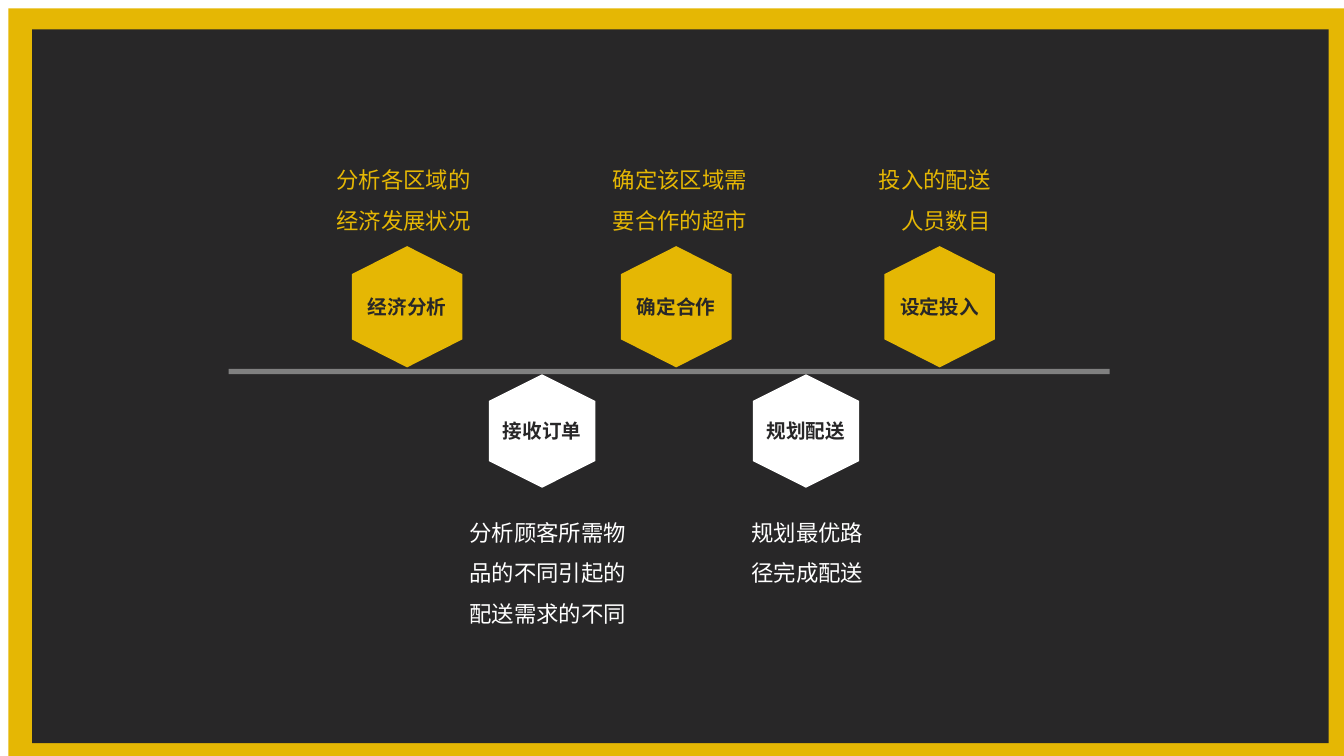
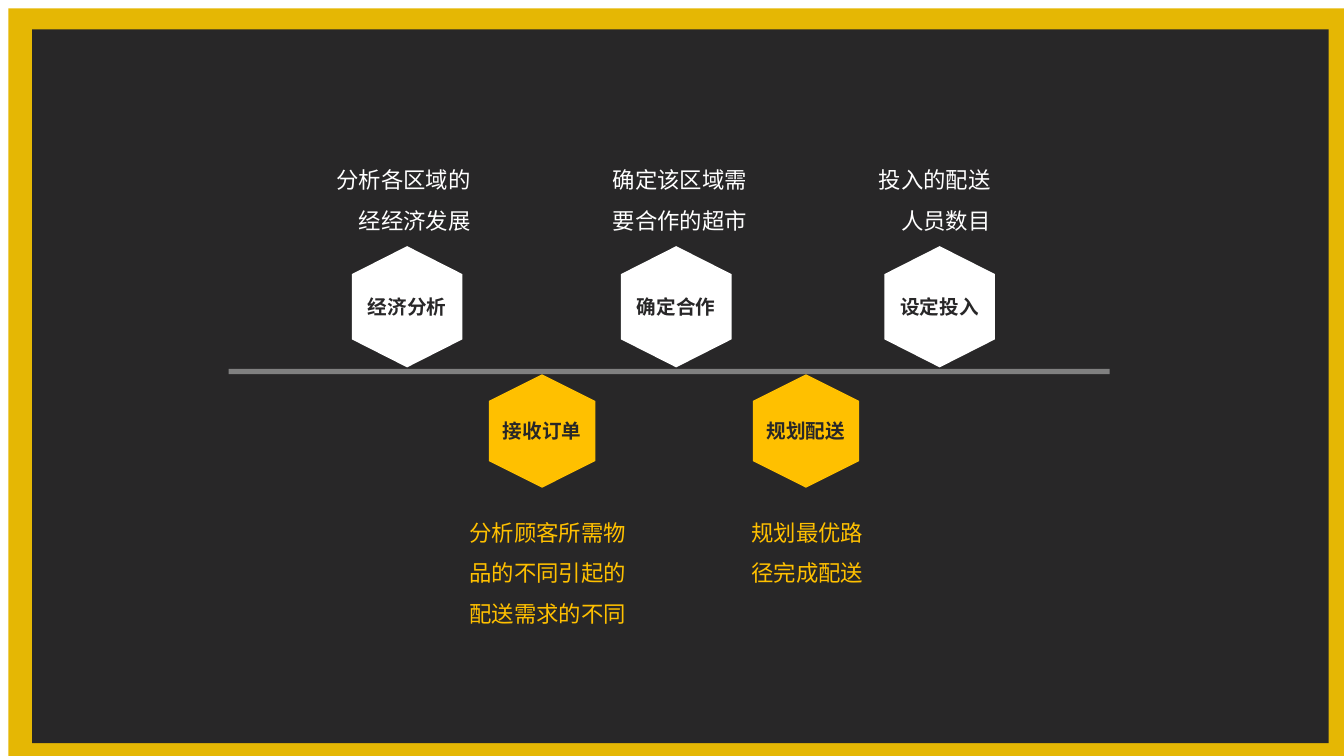
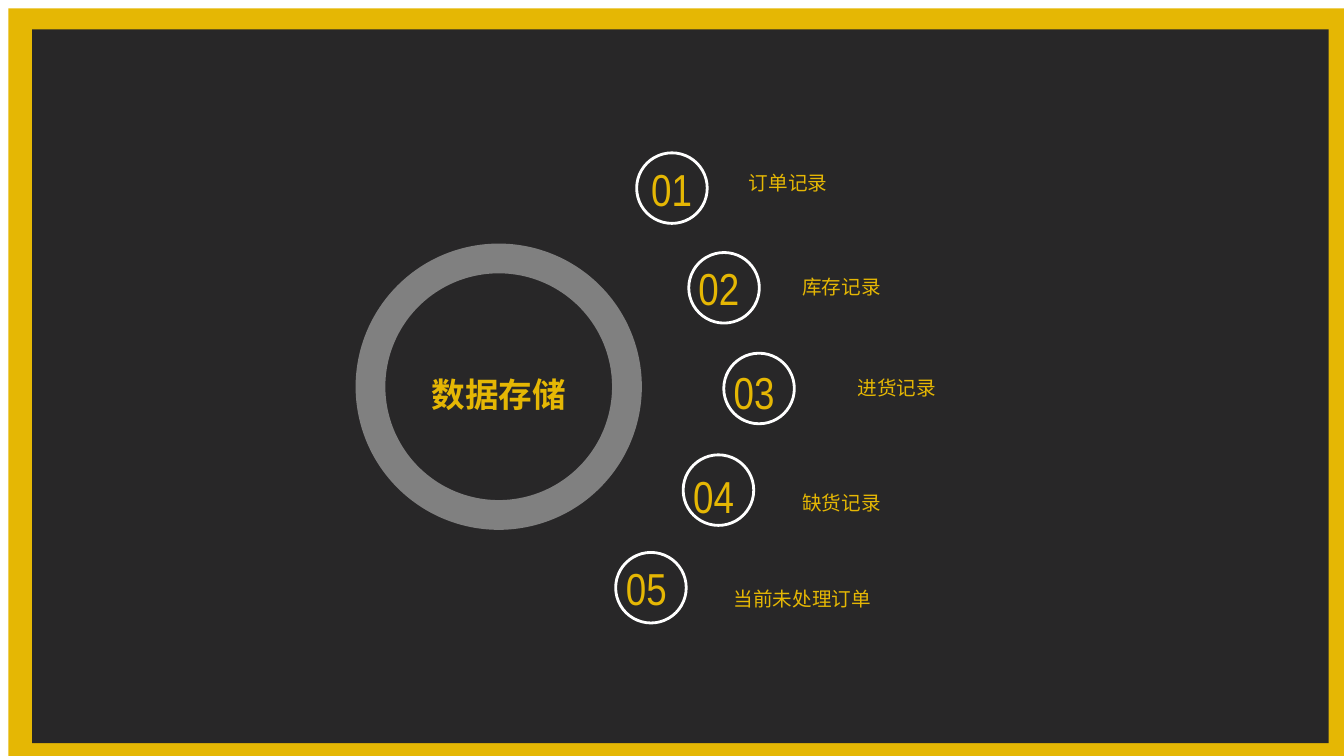
"""Build three delivery-system slides: two process timelines and a data storage overview."""
from dataclasses import dataclass
from typing import Any, Optional

from lxml import etree
from pptx import Presentation
from pptx import util as u
from pptx.dml.color import RGBColor
from pptx.enum import shapes, text
from pptx.oxml.ns import qn
from pptx.presentation import Presentation as Deck
from pptx.shapes.autoshape import Shape
from pptx.slide import Slide

GOLD = RGBColor(0xE5, 0xB7, 0x04)
AMBER = RGBColor(0xFF, 0xC0, 0x00)
CHARCOAL = RGBColor(0x28, 0x27, 0x28)
GREY = RGBColor(0x80, 0x80, 0x80)
WHITE = RGBColor(0xFF, 0xFF, 0xFF)

CHINESE = "Noto Sans CJK SC"
STEP_FONT = {"name": CHINESE, "size": u.Pt(14), "bold": True}
CAPTION_FONT = {"name": CHINESE, "size": u.Pt(16), "bold": False}
LABEL_FONT = {"name": CHINESE, "size": u.Pt(14), "bold": False}
TITLE_FONT = {"name": CHINESE, "size": u.Pt(24), "bold": True}
NUMBER_FONT = {"name": "Arial Narrow", "size": u.Pt(32), "bold": False}

GROW = {"word_wrap": True, "auto_size": text.MSO_AUTO_SIZE.SHAPE_TO_FIT_TEXT,
        "vertical_anchor": text.MSO_ANCHOR.TOP}
ONE_LINE = GROW | {"word_wrap": False}
MIDDLE = {"word_wrap": True, "vertical_anchor": text.MSO_ANCHOR.MIDDLE}
TIGHT = MIDDLE | {f"margin_{side}": 0 for side in ("left", "right", "top", "bottom")}

LEFT = {"alignment": text.PP_ALIGN.LEFT}
CENTRE = {"alignment": text.PP_ALIGN.CENTER}
OPEN_LEFT = LEFT | {"line_spacing": 1.5}
OPEN_CENTRE = CENTRE | {"line_spacing": 1.5}
OPEN_RIGHT = {"alignment": text.PP_ALIGN.RIGHT, "line_spacing": 1.5}


@dataclass(frozen=True)
class Box:
    """A rectangle in points."""
    left: float
    top: float
    width: float
    height: float

    def lengths(self) -> list[u.Length]:
        """Return the four lengths in the order that python-pptx takes."""
        return [u.Pt(value) for value in (self.left, self.top, self.width, self.height)]


@dataclass(frozen=True)
class Row:
    """The measures shared by the hexagons and captions on one side of the bar."""
    hexagon_top: float
    width: float
    height: float
    shoulder: float
    caption_top: float
    caption_height: float


@dataclass(frozen=True)
class Step:
    """One hexagon with its caption."""
    name: str
    centre: float
    caption: str
    caption_left: float
    caption_width: float


@dataclass(frozen=True)
class Record:
    """One numbered circle with its label, each given by left and top."""
    label: str
    circle: tuple[float, float]
    number: tuple[float, float]
    label_at: tuple[float, float]


FRAME = ((Box(6, 6, 954, 534), GOLD), (Box(23, 21, 926, 509.8), CHARCOAL))
BAR = Box(163.3, 263.5, 629.4, 3.7)
RING = Box(254, 174, 204.5, 204.5)
RING_TITLE = Box(295.2, 249.1, 122.4, 46)
CIRCLE_SIZE = 50.4

UPPER = Row(175.8, 79, 86.6, 20, 105.8, 62)
LOWER = Row(267.4, 76, 81, 19, 357.8, 91)
UPPER_STEPS = (
    Step("经济分析", 290.8, "分析各区域的经济发展状况", 228.2, 115),
    Step("确定合作", 483, "确定该区域需要合作的超市", 425.5, 115),
    Step("设定投入", 671.2, "投入的配送人员数目", 612.7, 102),
)
LOWER_STEPS = (
    Step("接收订单", 387.2, "分析顾客所需物品的不同引起的配送需求的不同", 319.7, 134.6),
    Step("规划配送", 575.7, "规划最优路径完成配送", 527.8, 95.8),
)
SHORT_CAPTIONS = {"经济分析": "分析各区域的经经济发展"}
RECORDS = (
    Record("订单记录", (454.8, 109.2), (458, 111.6), (527.8, 99.4)),
    Record("库存记录", (492, 180.4), (491.8, 182.4), (566, 173.5)),
    Record("进货记录", (517, 252.3), (517, 257), (605.5, 245.5)),
    Record("缺货记录", (488, 324.9), (488, 331.2), (566, 327.6)),
    Record("当前未处理订单", (439.8, 394.6), (440, 396.7), (517, 396.7)),
)


def apply(target: Any, values: dict[str, Any]) -> None:
    """Set each named attribute on the target."""
    for name, value in values.items():
        setattr(target, name, value)


def write(shape: Shape, words: str, font: dict[str, Any], colour: RGBColor,
          frame: dict[str, Any], layout: dict[str, Any]) -> None:
    """Put one formatted paragraph into a shape."""
    apply(shape.text_frame, frame)
    para = shape.text_frame.paragraphs[0]
    apply(para, layout)
    span = para.add_run()
    span.text = words
    apply(span.font, font)
    span.font.color.rgb = colour
    for props in shape.element.iter(qn("a:rPr")):
        etree.SubElement(props, qn("a:ea")).set("typeface", font["name"])


def paint(shape: Shape, fill: Optional[RGBColor], line: Optional[RGBColor] = None) -> Shape:
    """Give a shape a flat fill and an optional outline."""
    shape.shadow.inherit = False
    if fill is None:
        shape.fill.background()
    else:
        shape.fill.solid()
        shape.fill.fore_color.rgb = fill
    if line is None:
        shape.line.fill.background()
    else:
        shape.line.color.rgb = line
        shape.line.width = u.Pt(2)
    return shape


def add_preset(page: Slide, kind: shapes.MSO_SHAPE, box: Box, fill: Optional[RGBColor],
               line: Optional[RGBColor] = None) -> Shape:
    """Draw a preset shape."""
    return paint(page.shapes.add_shape(kind, *box.lengths()), fill, line)


def add_words(page: Slide, box: Box, *style: Any) -> None:
    """Draw a text box."""
    write(page.shapes.add_textbox(*box.lengths()), *style)


def add_hexagon(page: Slide, centre: float, row: Row, fill: RGBColor) -> Shape:
    """Draw an upright hexagon with its points at top and bottom."""
    left, right = centre - row.width / 2, centre + row.width / 2
    top, bottom = row.hexagon_top, row.hexagon_top + row.height
    high, low = top + row.shoulder, bottom - row.shoulder
    corners = ((right, high), (right, low), (centre, bottom), (left, low), (left, high))
    builder = page.shapes.build_freeform(u.Pt(centre), u.Pt(top))
    builder.add_line_segments([(u.Pt(x), u.Pt(y)) for x, y in corners], close=True)
    return paint(builder.convert_to_shape(), fill)


def move_frame_to_master(deck: Deck, page: Slide) -> None:
    """Draw the frame and place it on the slide master behind everything else."""
    tree = deck.slide_master.element.cSld.spTree
    for index, (box, colour) in enumerate(FRAME):
        band = add_preset(page, shapes.MSO_SHAPE.RECTANGLE, box, colour).element
        band.nvSpPr.cNvPr.id = 20 + index
        tree.insert(2 + index, band)


def draw_timeline(page: Slide, upper_colour: RGBColor, lower_colour: RGBColor,
                  captions: dict[str, str]) -> None:
    """Draw the bar with its steps above and below."""
    add_preset(page, shapes.MSO_SHAPE.RECTANGLE, BAR, GREY)
    for row, steps, colour in ((UPPER, UPPER_STEPS, upper_colour),
                               (LOWER, LOWER_STEPS, lower_colour)):
        for step in steps:
            hexagon = add_hexagon(page, step.centre, row, colour)
            write(hexagon, step.name, STEP_FONT, CHARCOAL, TIGHT, CENTRE)
            box = Box(step.caption_left, row.caption_top, step.caption_width, row.caption_height)
            caption = captions.get(step.name, step.caption)
            add_words(page, box, caption, CAPTION_FONT, colour, GROW, OPEN_RIGHT)


def draw_storage(page: Slide) -> None:
    """Draw the titled ring and the arc of numbered records."""
    title = page.shapes.title
    names = ("left", "top", "width", "height")
    apply(title, dict(zip(names, RING_TITLE.lengths())))
    write(title, "数据存储", TITLE_FONT, GOLD, GROW, OPEN_CENTRE)
    ring = add_preset(page, shapes.MSO_SHAPE.DONUT, RING, GREY)
    ring.adjustments[0] = 0.104
    for number, record in enumerate(RECORDS, 1):
        circle = Box(*record.circle, CIRCLE_SIZE, CIRCLE_SIZE)
        add_preset(page, shapes.MSO_SHAPE.OVAL, circle, None, WHITE)
        add_words(page, Box(*record.number, 48, 46), f"{number:02}",
                  NUMBER_FONT, GOLD, ONE_LINE, LEFT)
        add_words(page, Box(*record.label_at, 301.7, 54), record.label,
                  LABEL_FONT, GOLD, MIDDLE, OPEN_LEFT)


def main() -> None:
    """Build and save the deck."""
    deck = Presentation()
    deck.slide_width, deck.slide_height = u.Pt(960), u.Pt(540)
    title_only, blank = deck.slide_layouts[5], deck.slide_layouts[6]

    first = deck.slides.add_slide(blank)
    move_frame_to_master(deck, first)
    draw_timeline(first, GOLD, WHITE, {})
    draw_timeline(deck.slides.add_slide(blank), WHITE, AMBER, SHORT_CAPTIONS)
    draw_storage(deck.slides.add_slide(title_only))
    deck.save("out.pptx")


if __name__ == "__main__":
    main()
